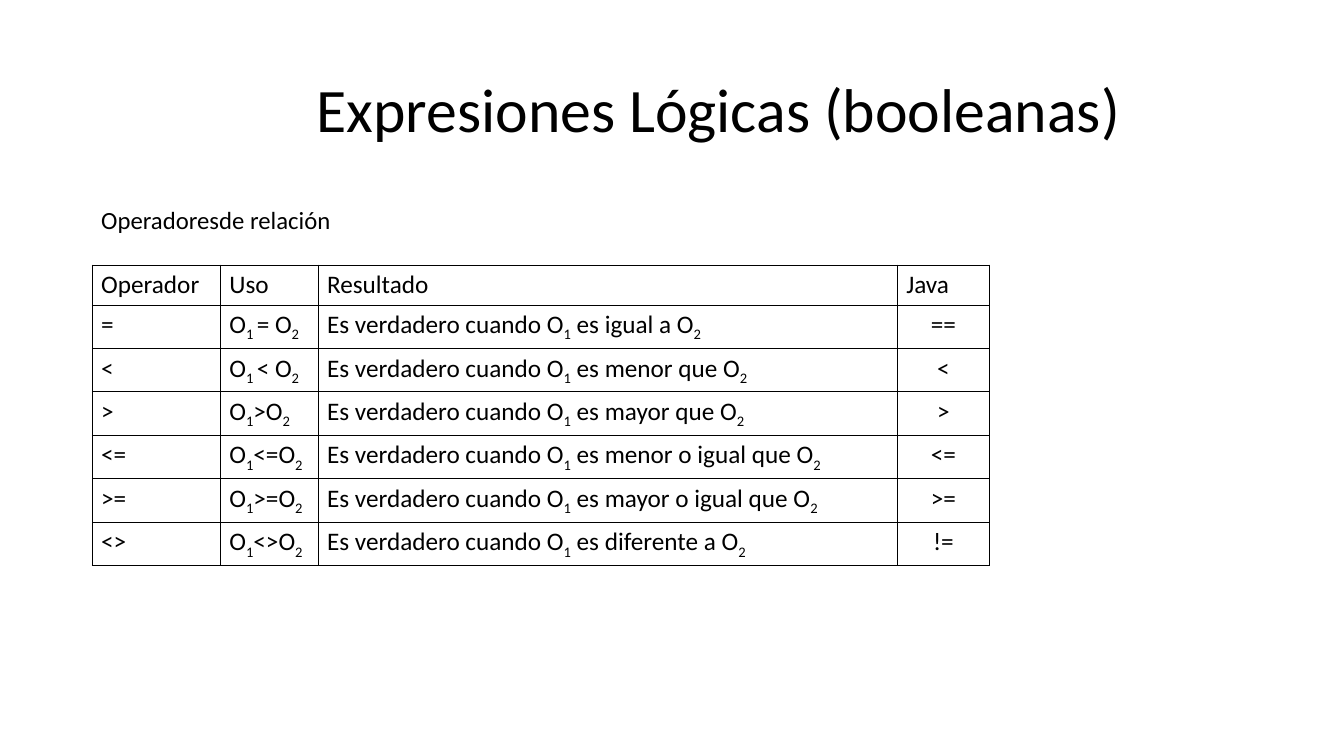
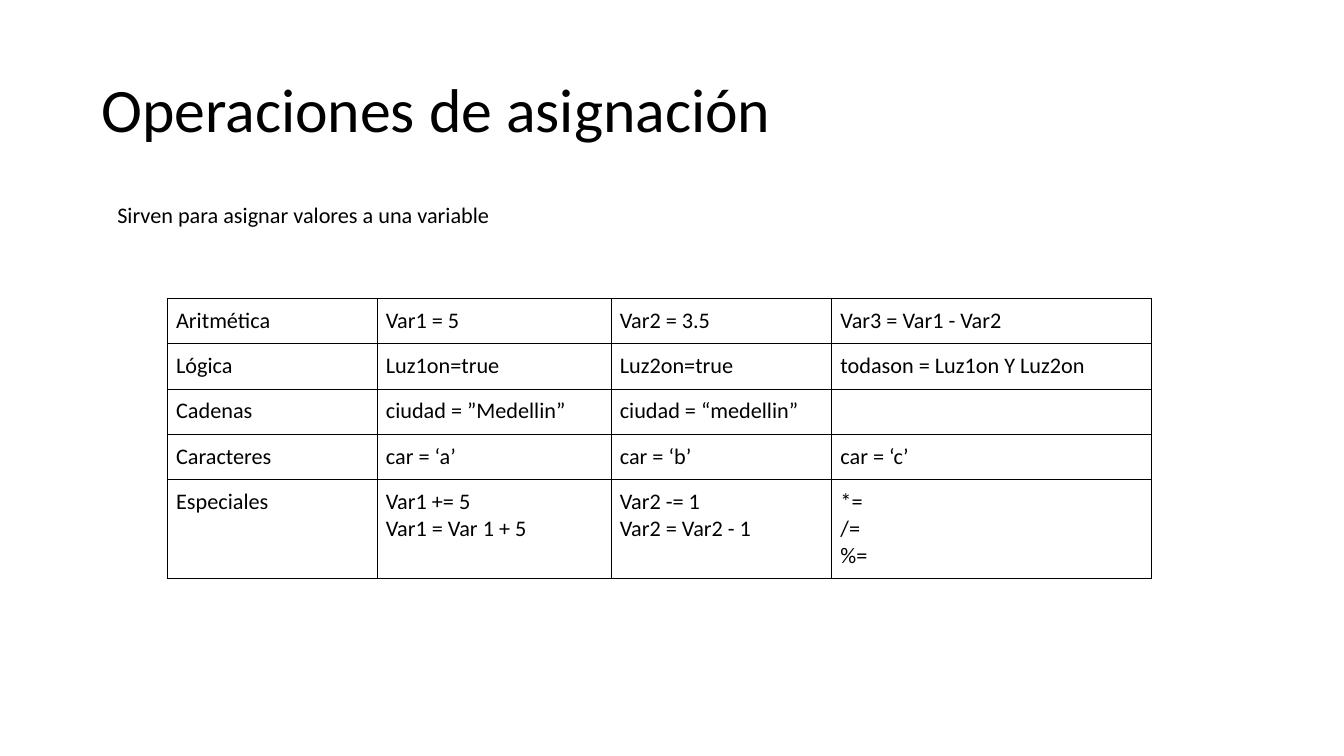
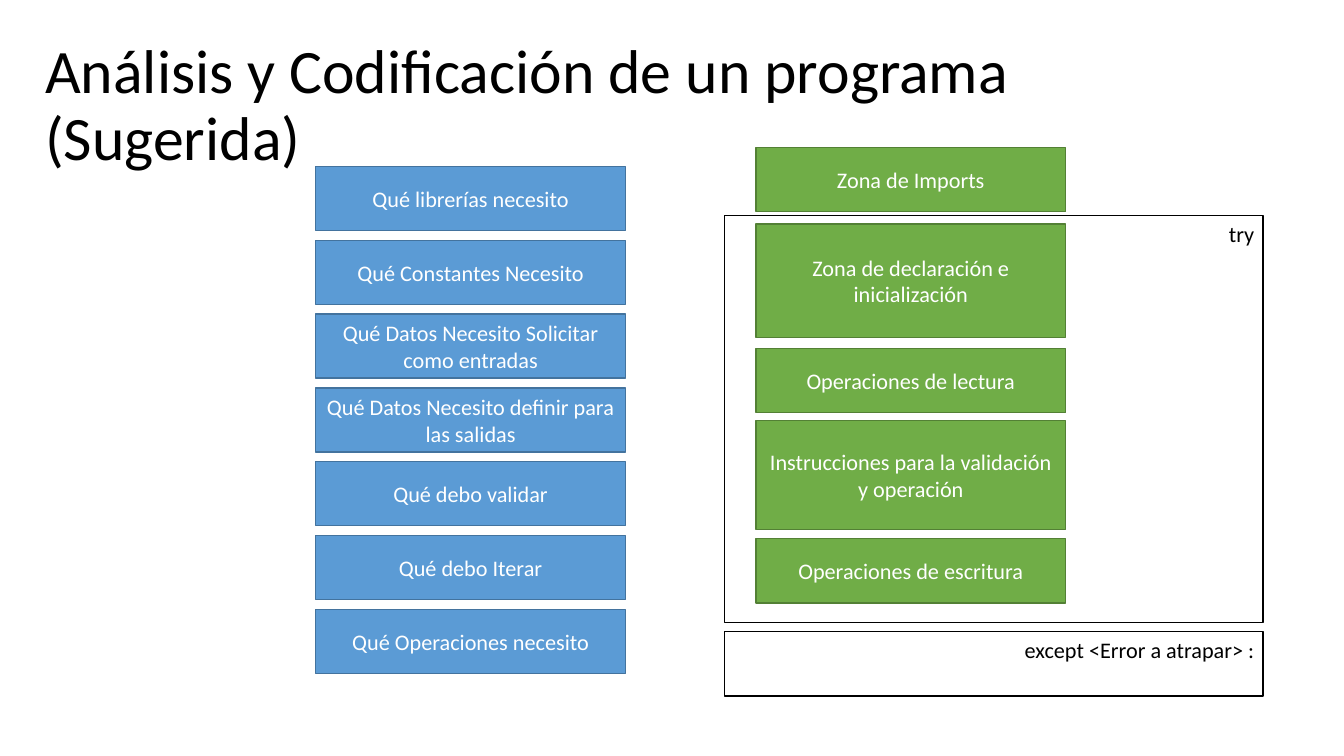
from dataclasses import dataclass
from lxml.etree import SubElement
from pptx import Presentation
from pptx.dml.color import RGBColor
from pptx.enum.shapes import MSO_SHAPE
from pptx.enum.text import MSO_ANCHOR, MSO_AUTO_SIZE, PP_ALIGN
from pptx.oxml.ns import qn
from pptx.slide import Slide
from pptx.util import Cm, Pt


# Shared look
@dataclass(frozen=True)
class Theme:
    font: str = "Calibri"
    ink: str = "000000"
    paper: str = "FFFFFF"
    blue: str = "5B9BD5"
    navy: str = "43739E"
    green: str = "70AD47"
    moss: str = "538035"
    head: float = 50
    lead: float = 20
    body: float = 18
    side: float = 0.25
    thin: float = 0.13


@dataclass(frozen=True)
class Area:
    left: float
    top: float
    width: float
    height: float

    def cm(self) -> tuple:
        return Cm(self.left), Cm(self.top), Cm(self.width), Cm(self.height)


@dataclass(frozen=True)
class Block:
    text: str
    area: Area
    fill: str | None
    line: str


@dataclass(frozen=True)
class Grid:
    left: float
    top: float
    cols: tuple[float, ...]
    rows: tuple[float, ...]
    cells: list[tuple[str, ...]]
    size: float
    pad: float


THEME = Theme()


# Text: newlines part paragraphs, and text between bars is subscript
def write(frame, text: str, *, size: float = THEME.body, color: str = THEME.ink,
          align=PP_ALIGN.LEFT, space: float | None = None) -> None:
    for i, line in enumerate(text.split("\n")):
        para = frame.add_paragraph() if i else frame.paragraphs[0]
        para.alignment = align
        if space:
            para.line_spacing = space
        for j, part in enumerate(line.split("|")):
            if not part:
                continue
            run = para.add_run()
            run.text = part
            run.font.name = THEME.font
            run.font.size = Pt(size)
            run.font.color.rgb = RGBColor.from_string(color)
            if j % 2:
                run._r.get_or_add_rPr().set("baseline", "-25000")


def inset(box, edge: float) -> None:
    box.margin_left = box.margin_right = Cm(THEME.side)
    box.margin_top = box.margin_bottom = Cm(edge)


def start(deck, title: str, area: Area, align=PP_ALIGN.LEFT) -> Slide:
    slide = deck.slides.add_slide(deck.slide_layouts[5])
    head = slide.shapes.title
    head.left, head.top, head.width, head.height = area.cm()
    frame = head.text_frame
    frame.word_wrap = True
    frame.auto_size = MSO_AUTO_SIZE.NONE
    frame.vertical_anchor = MSO_ANCHOR.MIDDLE
    inset(frame, THEME.thin)
    write(frame, title, size=THEME.head, align=align, space=0.9)
    return slide


def label(slide: Slide, text: str, area: Area, size: float) -> None:
    frame = slide.shapes.add_textbox(*area.cm()).text_frame
    frame.word_wrap = True
    inset(frame, THEME.side)
    write(frame, text, size=size)


def draw(slide: Slide, block: Block) -> None:
    shape = slide.shapes.add_shape(MSO_SHAPE.RECTANGLE, *block.area.cm())
    shape.shadow.inherit = False
    shape.line.color.rgb = RGBColor.from_string(block.line)
    shape.line.width = Pt(1)
    frame = shape.text_frame
    frame.word_wrap = True
    inset(frame, THEME.thin)
    if block.fill:
        shape.fill.solid()
        shape.fill.fore_color.rgb = RGBColor.from_string(block.fill)
        frame.vertical_anchor = MSO_ANCHOR.MIDDLE
        write(frame, block.text, color=THEME.paper, align=PP_ALIGN.CENTER)
    else:
        shape.fill.background()
        frame.vertical_anchor = MSO_ANCHOR.TOP
        write(frame, block.text, align=PP_ALIGN.RIGHT)


# Tables
def rule(cell) -> None:
    props = cell._tc.get_or_add_tcPr()
    for i, side in enumerate(("lnL", "lnR", "lnT", "lnB")):
        line = SubElement(props, qn(f"a:{side}"), w=str(Pt(1)))
        fill = SubElement(line, qn("a:solidFill"))
        SubElement(fill, qn("a:srgbClr"), val=THEME.ink)
        props.insert(i, line)


def fill_grid(slide: Slide, grid: Grid, mid: int | None = None) -> None:
    """Draw a ruled table; column mid is centred below its heading."""
    area = Area(grid.left, grid.top, sum(grid.cols), sum(grid.rows))
    table = slide.shapes.add_table(len(grid.rows), len(grid.cols), *area.cm()).table
    table.first_row = table.horz_banding = False
    for col, width in zip(table.columns, grid.cols):
        col.width = Cm(width)
    for r, (row, height) in enumerate(zip(table.rows, grid.rows)):
        row.height = Cm(height)
        for c, cell in enumerate(row.cells):
            cell.fill.background()
            rule(cell)
            inset(cell, grid.pad)
            align = PP_ALIGN.CENTER if r and c == mid else PP_ALIGN.LEFT
            write(cell.text_frame, grid.cells[r][c], size=grid.size, align=align)


# Slide 1: relation operators
def logic(deck) -> None:
    slide = start(deck, "Expresiones Lógicas (booleanas)",
                  Area(2.64, 1.14, 29.62, 4.17), PP_ALIGN.RIGHT)
    signs = [
        ("=", "1 |= ", "igual a", "=="),
        ("<", "1 |< ", "menor que", "<"),
        (">", "1|>", "mayor que", ">"),
        ("<=", "1|<=", "menor o igual que", "<="),
        (">=", "1|>=", "mayor o igual que", ">="),
        ("<>", "1|<>", "diferente a", "!="),
    ]
    cells = [("Operador", "Uso", "Resultado", "Java")]
    cells += [(sign, f"O|{use}O|2", f"Es verdadero cuando O|1| es {case} O|2", code)
              for sign, use, case, code in signs]
    fill_grid(slide, Grid(2.64, 7.57, (3.66, 2.79, 16.54, 2.62),
                          (1.14,) + (1.23,) * len(signs), cells, 20.4, THEME.thin), mid=3)
    label(slide, "Operadoresde relación", Area(2.64, 5.59, 10.26, 1.7), THEME.lead)


# Slide 2: assignment
def assign(deck) -> None:
    slide = start(deck, "Operaciones de asignación", Area(2.64, 1.14, 29.44, 4.17))
    label(slide, "Sirven para asignar valores a una variable",
          Area(3.1, 5.51, 17.07, 1), THEME.body)
    cells = [
        ("Aritmética", "Var1 = 5", "Var2 = 3.5", "Var3 = Var1 - Var2"),
        ("Lógica", "Luz1on=true", "Luz2on=true", "todason = Luz1on Y Luz2on"),
        ("Cadenas", "ciudad = ”Medellin”", "ciudad = “medellin”", ""),
        ("Caracteres", "car = ‘a’", "car = ‘b’", "car = ‘c’"),
        ("Especiales", "Var1 += 5\nVar1 = Var 1 + 5",
         "Var2 -= 1\nVar2 = Var2 - 1", "*=\n/=\n%="),
    ]
    fill_grid(slide, Grid(4.78, 8.53, (5.99, 6.68, 6.3, 9.14),
                          (1.29,) * 4 + (2.83,), cells, THEME.body, THEME.side))


# Slide 3: questions beside the parts of a program
def plan(deck) -> None:
    slide = start(deck, "Análisis y Codificación de un programa (Sugerida)",
                  Area(1.04, 0.97, 33.1, 4.17))
    wide, high, pitch = 8.84, 1.83, 2.11
    asks = [
        "Qué librerías necesito",
        "Qué Constantes Necesito",
        "Qué Datos Necesito Solicitar como entradas",
        "Qué Datos Necesito definir para las salidas",
        "Qué debo validar",
        "Qué debo Iterar",
        "Qué Operaciones necesito",
    ]
    zones = [
        ("Zona de Imports", 4.22, high),
        ("Zona de declaración e inicialización", 6.4, 3.23),
        ("Operaciones de lectura", 9.96, high),
        ("Instrucciones para la validación y operación", 12.01, 3.12),
        ("Operaciones de escritura", 15.39, high),
    ]
    frames = [("try", 6.15, 11.63), ("except <Error a atrapar> :", 18.03, 1.85)]
    blocks = [Block(text, Area(9.02, 4.75 + i * pitch, wide, high), THEME.blue, THEME.navy)
              for i, text in enumerate(asks)]
    blocks += [Block(text, Area(21.59, top, wide, tall), THEME.green, THEME.moss)
               for text, top, tall in zones]
    blocks += [Block(text, Area(20.7, top, 15.37, tall), None, THEME.ink)
               for text, top, tall in frames]
    for block in blocks:
        draw(slide, block)


def main() -> None:
    deck = Presentation()
    deck.slide_width, deck.slide_height = Cm(38.38), Cm(21.59)
    for build in (logic, assign, plan):
        build(deck)
    deck.save("out.pptx")


if __name__ == "__main__":
    main()
